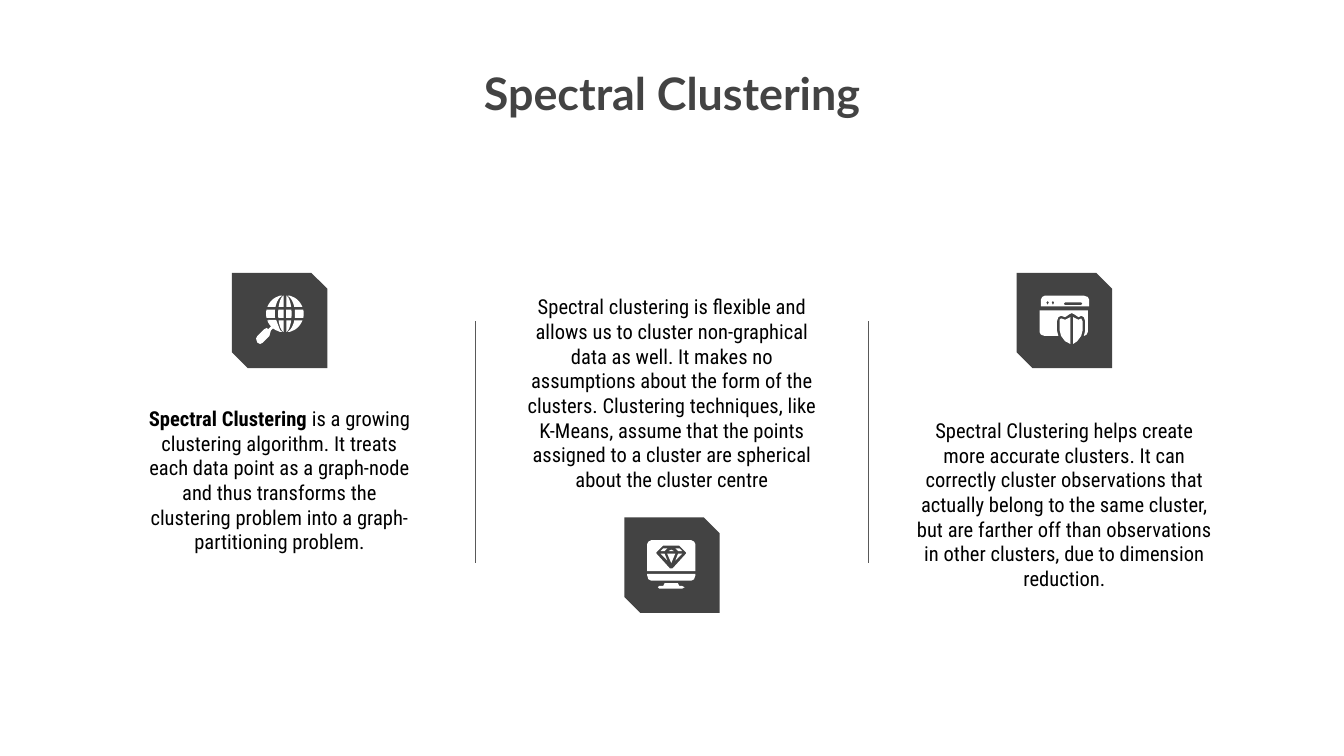
from math import sqrt

from pptx import Presentation
from pptx.dml.color import RGBColor
from pptx.enum.shapes import MSO_CONNECTOR, MSO_SHAPE
from pptx.enum.text import MSO_ANCHOR, MSO_AUTO_SIZE, PP_ALIGN
from pptx.oxml.ns import qn
from pptx.util import Inches, Pt

CHARCOAL = RGBColor(0x43, 0x43, 0x43)
RULE_GREY = RGBColor(0x59, 0x59, 0x59)
BLACK = RGBColor(0, 0, 0)
WHITE = RGBColor(0xFF, 0xFF, 0xFF)

COLUMN_LEFT, COLUMN_WIDTH = 0.62, 2.92
TEXT_HEIGHT = 1.1
TILE = 0.71

# Each icon is a list of pieces, each piece a list of contours (outline, then
# holes), in hundredths of an inch from the tile's top left corner.
HANDLE = [[(27, 35), (30, 39), (27, 42), (26, 41), (24, 42), (19, 47), (18, 49),
           (19, 52), (21, 53), (23, 52), (28, 47), (29, 43), (31, 41), (36, 43),
           (33, 35)]]
MONITOR = [
    [[(35, 24), (33, 25), (37, 25)]],
    [[(29, 23), (27, 25), (30, 25), (32, 23)]],
    [[(40, 27), (38, 32), (43, 27)]],
    [[(32, 27), (35, 34), (38, 27)]],
    [[(38, 23), (40, 25), (43, 25), (41, 23)]],
    [[(27, 27), (32, 32), (30, 27)]],
    [[(17, 42), (17, 43), (18, 46), (20, 47), (50, 47), (52, 46), (53, 43), (53, 42)]],
    [[(20, 17), (50, 17), (52, 18), (53, 20), (53, 40), (17, 40), (17, 20), (18, 18)],
     [(41, 21), (46, 26), (46, 27), (36, 38), (34, 38), (24, 27), (24, 26), (29, 21)]],
    [[(30, 49), (29, 51), (26, 51), (25, 52), (26, 53), (43, 53), (45, 52),
      (43, 51), (41, 51), (40, 49)]],
]
BROWSER_SHIELD = [
    [[(21, 17), (19, 18), (18, 20), (18, 25), (54, 25), (54, 20), (53, 18), (50, 17)],
     [(23, 21), (24, 22), (23, 24), (22, 22)],
     [(27, 21), (28, 22), (27, 24), (26, 22)],
     [(36, 22), (48, 22), (49, 23), (48, 24), (36, 24), (35, 23)]],
    [[(17, 28), (17, 44), (18, 46), (21, 47), (31, 47), (30, 43), (30, 36), (31, 33),
      (33, 32), (36, 33), (39, 31), (41, 30), (43, 31), (46, 33), (48, 32), (50, 33),
      (51, 36), (51, 43), (50, 47), (52, 46), (53, 44), (53, 28)]],
    [[(40, 33), (36, 35), (33, 34), (32, 35), (32, 43), (33, 47), (36, 51), (40, 53)]],
    [[(42, 33), (42, 53), (45, 51), (48, 47), (49, 43), (49, 36), (48, 34), (46, 35)]],
]


def globe_pieces(center_x=39.5, center_y=30.5, radius=14, steps=6):
    """Cut a disc into three bands, each crossed by four meridian segments."""
    def edge(bulge, y):
        return bulge * sqrt(1 - (y / radius) ** 2)

    pieces = []
    for top, bottom in ((-13.5, -5), (-3, 3), (5, 13.5)):
        heights = [top + (bottom - top) * i / steps for i in range(steps + 1)]
        for side in (-1, 1):
            for outer, inner in ((radius, 7.5), (5, None)):
                outside = [(edge(outer, y), y) for y in heights]
                inside = [(edge(inner, y) if inner else 1, y) for y in reversed(heights)]
                pieces.append([[(center_x + side * x, center_y + y)
                                for x, y in outside + inside]])
    return pieces


def fill_plain(shape, color):
    shape.shadow.inherit = False
    shape.fill.solid()
    shape.fill.fore_color.rgb = color
    shape.line.fill.background()


def add_icon_tile(slide, left, top, pieces):
    tile_group = slide.shapes.add_group_shape().shapes
    tile = tile_group.add_shape(MSO_SHAPE.SNIP_2_DIAG_RECTANGLE, Inches(left),
                                Inches(top), Inches(TILE), Inches(TILE))
    tile.adjustments[0], tile.adjustments[1] = 0, 0.167
    fill_plain(tile, CHARCOAL)
    for contours in pieces:
        fine = [[(x * 100, y * 100) for x, y in contour] for contour in contours]
        outline = tile_group.build_freeform(*fine[0][0], scale=Inches(1) / 10000)
        outline.add_line_segments(fine[0][1:])
        for hole in fine[1:]:
            outline.move_to(*hole[0])
            outline.add_line_segments(hole[1:])
        fill_plain(outline.convert_to_shape(Inches(left), Inches(top)), WHITE)


def set_text(placeholder, box, runs, font, size, color):
    """Place a placeholder and fill it with centred (text, bold) runs."""
    (placeholder.left, placeholder.top,
     placeholder.width, placeholder.height) = map(Inches, box)
    frame = placeholder.text_frame
    frame.word_wrap = True
    frame.auto_size = MSO_AUTO_SIZE.NONE
    frame.vertical_anchor = MSO_ANCHOR.TOP
    frame.margin_left = frame.margin_right = Inches(0.1)
    frame.margin_top = frame.margin_bottom = Inches(0.1)
    paragraph = frame.paragraphs[0]
    properties = paragraph._p.get_or_add_pPr()
    properties.set("marL", "0")
    properties.set("indent", "0")
    properties.append(properties.makeelement(qn("a:buNone"), {}))
    paragraph.alignment = PP_ALIGN.CENTER
    paragraph.line_spacing = 1.0
    paragraph.space_before = paragraph.space_after = Pt(0)
    for text, bold in runs:
        run = paragraph.add_run()
        run.text = text
        run.font.name = font
        run.font.size = Pt(size)
        run.font.bold = bold
        run.font.color.rgb = color


def add_column(slide, body, left, text_top, text_width, tile_top, runs, icon):
    """Centre a paragraph and its icon tile in the column that starts at left."""
    text_left = left + (COLUMN_WIDTH - text_width) / 2
    set_text(body, (text_left, text_top, text_width, TEXT_HEIGHT), runs,
             "Roboto Condensed", 11, BLACK)
    add_icon_tile(slide, left + (COLUMN_WIDTH - TILE) / 2, tile_top, icon)


def add_divider(slide, x, top, bottom):
    divider = slide.shapes.add_connector(MSO_CONNECTOR.STRAIGHT, Inches(x), Inches(top),
                                         Inches(x), Inches(bottom))
    divider.line.color.rgb = RULE_GREY
    divider.line.width = Pt(0.75)
    properties = divider._element.spPr
    properties.append(properties.makeelement(qn("a:effectLst"), {}))


def build_slide(presentation):
    slide = presentation.slides.add_slide(
        presentation.slide_layouts.get_by_name("Comparison"))
    title, *bodies = slide.placeholders
    spare = bodies.pop()
    spare._element.getparent().remove(spare._element)

    set_text(title, (2.15, 0.39, 5.7, 1.03), [("Spectral Clustering", True)],
             "Lato", 24, CHARCOAL)
    columns = [
        (2.92, 2.24, 2.03,
         [("Spectral Clustering", True),
          (" is a growing clustering algorithm. It treats each data point as a "
           "graph-node and thus transforms the clustering problem into a "
           "graph-partitioning problem.", False)],
         globe_pieces() + [HANDLE]),
        (2.09, 2.43, 3.85,
         [("Spectral clustering is flexible and allows us to cluster non-graphical "
           "data as well. It makes no assumptions about the form of the clusters. "
           "Clustering techniques, like K-Means, assume that the points assigned to "
           "a cluster are spherical about the cluster centre", False)],
         MONITOR),
        (3.01, 2.43, 2.03,
         [("Spectral Clustering helps create more accurate clusters. It can "
           "correctly cluster observations that actually belong to the same "
           "cluster, but are farther off than observations in other clusters, due "
           "to dimension reduction.", False)],
         BROWSER_SHIELD),
    ]
    for number, (body, column) in enumerate(zip(bodies, columns)):
        left = COLUMN_LEFT + number * COLUMN_WIDTH
        add_column(slide, body, left, *column)
        if number:
            add_divider(slide, left, 2.39, 4.19)


def main():
    presentation = Presentation()
    presentation.slide_width = Inches(10)
    presentation.slide_height = presentation.slide_width * 9 // 16
    build_slide(presentation)
    presentation.save("out.pptx")


if __name__ == "__main__":
    main()
